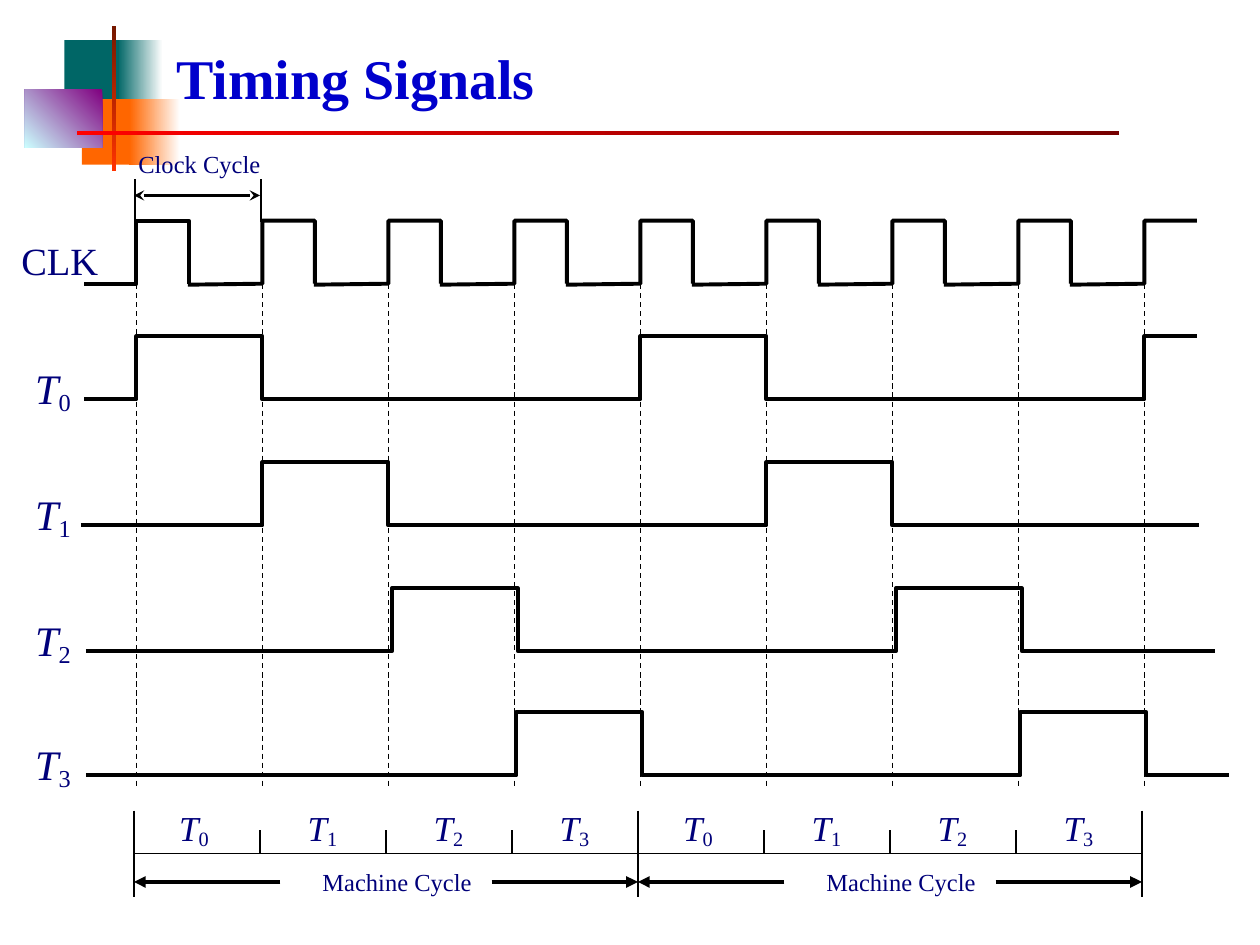
import lxml.etree
import pptx
import pptx.dml.color
import pptx.enum.dml
import pptx.enum.shapes
import pptx.enum.text
import pptx.oxml.ns
import pptx.util

Cm = pptx.util.Cm
Pt = pptx.util.Pt
FONT = "Times New Roman"
COLORS = {
    "title": "0000CC", "label": "00007A", "ink": "000000", "white": "FFFFFF",
    "teal": "006666", "orange": "FF6600", "purple": "800080", "ice": "CCFFFF",
    "rust": "761800", "flame": "FF3300", "red": "FF0000", "maroon": "760000",
}
CYCLE = 2.54
PHASES = 4
PULSE = 1.27


def rgb(name):
    """Return the palette colour of that name."""
    return pptx.dml.color.RGBColor.from_string(COLORS[name])


def style_font(font, size, color):
    """Apply the slide font with a size and a colour."""
    font.name, font.size = FONT, Pt(size)
    font.color.rgb = rgb(color)


def add_bar(slide, left, top, width, height, colors, angle=0):
    """Add a borderless rectangle, plain or with a clockwise-angled gradient."""
    bar = slide.shapes.add_shape(
        pptx.enum.shapes.MSO_SHAPE.RECTANGLE, Cm(left), Cm(top), Cm(width), Cm(height))
    bar.shadow.inherit = False
    bar.line.fill.background()
    if len(colors) == 1:
        bar.fill.solid()
        bar.fill.fore_color.rgb = rgb(colors[0])
        return
    bar.fill.gradient()
    bar.fill.gradient_angle = -angle % 360
    for stop, color, position in zip(bar.fill.gradient_stops, colors, (0, 1)):
        stop.color.rgb = rgb(color)
        stop.position = position


def add_line(slide, start, end, width=0.75, dashed=False, head=None, tail=None):
    """Add a straight black line with optional dashes and arrowheads."""
    line = slide.shapes.add_connector(
        pptx.enum.shapes.MSO_CONNECTOR.STRAIGHT, *(Cm(value) for value in (*start, *end)))
    line.line.color.rgb = rgb("ink")
    line.line.width = Pt(width)
    if dashed:
        line.line.dash_style = pptx.enum.dml.MSO_LINE.DASH
    for tag, arrow in (("a:headEnd", head), ("a:tailEnd", tail)):
        if arrow:
            lxml.etree.SubElement(
                line.get_or_add_ln(), pptx.oxml.ns.qn(tag), type=arrow)
    lxml.etree.SubElement(line._element.spPr, pptx.oxml.ns.qn("a:effectLst"))


def add_trace(slide, points):
    """Add an open signal outline through the points."""
    start, *rest = [(Cm(x), Cm(y)) for x, y in points]
    builder = slide.shapes.build_freeform(*start)
    builder.add_line_segments(rest, close=False)
    trace = builder.convert_to_shape()
    trace.shadow.inherit = False
    trace.fill.background()
    trace.line.color.rgb = rgb("ink")
    trace.line.width = Pt(2.25)


def add_label(slide, left, top, width, height, text, size, subscript=""):
    """Add a one-line label; a subscript makes the main text italic."""
    frame = slide.shapes.add_textbox(Cm(left), Cm(top), Cm(width), Cm(height)).text_frame
    frame.word_wrap = True
    frame.margin_right = Cm(0)
    paragraph = frame.paragraphs[0]
    main = paragraph.add_run()
    main.text = text
    style_font(main.font, size, "label")
    if subscript:
        main.font.italic = True
        index = paragraph.add_run()
        index.text = subscript
        style_font(index.font, size, "label")
        index._r.get_or_add_rPr().set("baseline", "-15000")


def add_emblem(slide, left, top):
    """Draw the overlapping squares and the crossing rules."""
    for x, y, width, height, colors, angle in (
        (0.8, 0.28, 1.22, 1.32, ["teal"], 0),
        (1.87, 0.28, 0.91, 1.32, ["white", "teal"], 180),
        (1.15, 1.47, 1.17, 1.32, ["orange"], 0),
        (2.11, 1.47, 1.02, 1.32, ["white", "orange"], 180),
        (0, 1.27, 1.56, 1.18, ["purple", "ice"], 135),
        (1.76, 0, 0.08, 2.92, ["rust", "flame"], 90),
        (1.05, 2.11, 21.01, 0.09, ["red", "maroon"], 0),
    ):
        add_bar(slide, left + x, top + y, width, height, colors, angle)


def add_title(slide, left, top, width, height):
    """Place and format the slide title."""
    title = slide.shapes.title
    title.left, title.top, title.width, title.height = map(Cm, (left, top, width, height))
    frame = title.text_frame
    frame.text = "Timing Signals"
    frame.vertical_anchor = pptx.enum.text.MSO_ANCHOR.MIDDLE
    paragraph = frame.paragraphs[0]
    paragraph.alignment = pptx.enum.text.PP_ALIGN.LEFT
    style_font(paragraph.runs[0].font, 32, "title")
    paragraph.runs[0].font.bold = True


def add_clock(slide, left, top):
    """Draw the clock trace, its label and the edge guides below it."""
    low = top + PULSE
    last = 2 * PHASES
    add_label(slide, 0.18, top + 0.2, 2.06, 1.19, "CLK", 22)
    for period in range(last + 1):
        rise = left + period * CYCLE
        fall = rise + 1.06
        lead = (rise - 1.5, low + 0.02) if period else (rise - 1.05, low)
        points = [lead, (rise, low), (rise, top), (fall, top)]
        add_trace(slide, points + ([(fall, low)] if period < last else []))
    for period in range(last + 1):
        edge = left + period * CYCLE
        add_line(slide, (edge, top + 0.55), (edge, top + 11.43), dashed=True)


def add_phase(slide, phase, left, rise, end, low):
    """Draw one phase signal, high for one cycle in every machine cycle."""
    high = low - PULSE
    points = [(left, low)]
    while rise < end:
        fall = min(rise + CYCLE, end)
        points += [(rise, low), (rise, high), (fall, high)]
        if fall < end:
            points.append((fall, low))
        rise += PHASES * CYCLE
    if points[-1][1] == low:
        points.append((end, low))
    add_trace(slide, points)
    add_label(slide, 0.46, low - 0.86, 1.22, 1.32, "T", 24, str(phase))


def add_clock_cycle(slide, left, top):
    """Mark the length of one clock cycle."""
    for edge in (left, left + CYCLE):
        add_line(slide, (edge, top + 0.74), (edge, top + 1.6), 1.5)
    add_line(slide, (left - 0.02, top + 1.07), (left - 0.02 + CYCLE, top + 1.07), 1.5,
             head="stealth", tail="stealth")
    add_label(slide, left - 0.18, top, 2.97, 0.86, "Clock Cycle", 14)


def add_machine_cycle(slide, left, axis):
    """Mark one machine cycle and its phases on the time axis."""
    right = left + PHASES * CYCLE
    for phase in range(PHASES):
        tick = left + phase * CYCLE
        if phase:
            add_line(slide, (tick, axis - 0.46), (tick, axis))
        add_label(slide, tick + (0.71 if phase else 0.66), axis - 1.07, 1.09, 1.14,
                  "T", 20, str(phase))
    middle = axis + 0.58
    add_line(slide, (right - 2.95, middle), (right, middle), 2.25, tail="triangle")
    add_line(slide, (left + 2.95, middle), (left, middle), 2.25, tail="triangle")
    add_label(slide, left + 3.55, axis + 0.15, 3.51, 0.86, "Machine Cycle", 14)


def add_time_axis(slide, left, axis):
    """Draw the axis with two machine cycles between long ticks."""
    span = PHASES * CYCLE
    add_line(slide, (left, axis), (left + 2 * span, axis))
    for count in range(3):
        tick = left + count * span
        add_line(slide, (tick, axis - 0.86), (tick, axis + 0.89))
        if count < 2:
            add_machine_cycle(slide, tick, axis)


def main():
    """Build the timing diagram slide."""
    deck = pptx.Presentation()
    deck.slide_width, deck.slide_height = Cm(25.4), Cm(19.05)
    slide = deck.slides.add_slide(deck.slide_layouts[5])
    add_emblem(slide, 0.5, 0.53)
    add_title(slide, 3.3, 0.67, 17.83, 1.75)
    for phase, row in enumerate((
        (1.7, 2.75, 24.13, 8.05), (1.63, 5.29, 24.18, 10.59),
        (1.73, 7.9, 24.5, 13.13), (1.73, 10.41, 24.77, 15.63),
    )):
        add_phase(slide, phase, *row)
    add_clock(slide, 2.75, 4.45)
    add_clock_cycle(slide, 2.72, 2.87)
    add_time_axis(slide, 2.7, 17.2)
    deck.save("out.pptx")


if __name__ == "__main__":
    main()
